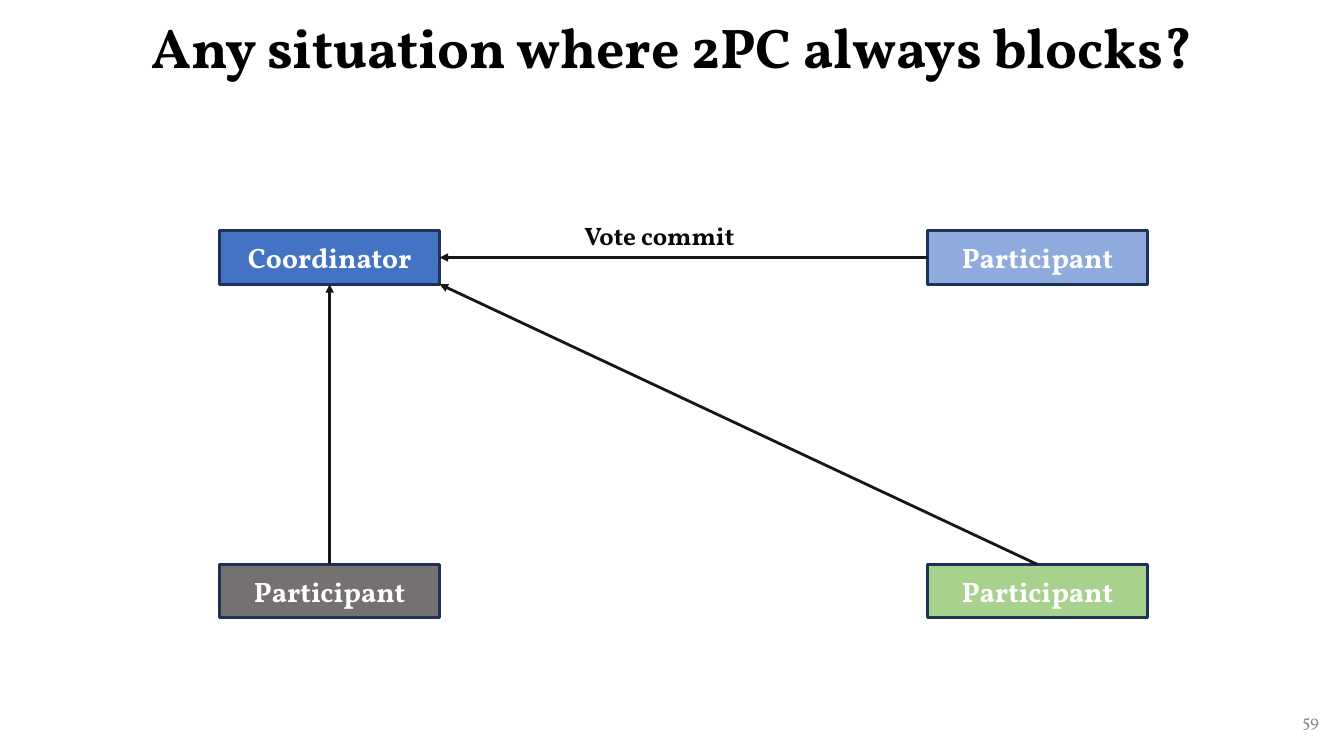
"""Build a slide on a two-phase commit that blocks."""
from lxml import etree
from pptx import Presentation
from pptx.dml.color import RGBColor
from pptx.enum.shapes import MSO_CONNECTOR, MSO_SHAPE
from pptx.enum.text import MSO_ANCHOR, MSO_AUTO_SIZE, PP_ALIGN
from pptx.oxml.ns import qn
from pptx.util import Inches, Pt

RECT = MSO_SHAPE.RECTANGLE
LINE = MSO_CONNECTOR.STRAIGHT
CENTER, RIGHT = PP_ALIGN.CENTER, PP_ALIGN.RIGHT
TOP, MIDDLE = MSO_ANCHOR.TOP, MSO_ANCHOR.MIDDLE
FIXED = MSO_AUTO_SIZE.NONE
UP, LEFT, DOWN, EAST = 0, 1, 2, 3

FONT = "Vollkorn"
COLORS = {
    "title": "000000", "label": "07080B", "page": "8C8C8C", "white": "FFFFFF",
    "edge": "1E3256", "arrow": "181717", "blue": "4472C4", "pale": "8FAADC",
    "gray": "767171", "green": "A9D18E",
}
TITLE = "Any situation where 2PC always blocks?"
NODES = [
    ("Coordinator", "blue", 0, 0),
    ("Participant", "pale", 1, 0),
    ("Participant", "gray", 0, 1),
    ("Participant", "green", 1, 1),
]
LINKS = [(2, UP, DOWN), (3, UP, None), (1, LEFT, EAST)]
NOTES = [
    ("59", (10.18, 6.95, 3, 0.4), 12, "page", False, RIGHT, MIDDLE),
    ("Vote commit", (5.37, 2.14, 2.34, 0.4), 18, "label", True, CENTER, TOP),
]
COLS, ROWS = (2.18, 9.2), (2.29, 5.6)
WIDE, HIGH = 2.18, 0.53


def paint(name):
    return RGBColor.from_string(COLORS[name])


def write(shape, text, size, color, bold=True, align=CENTER, anchor=MIDDLE):
    frame = shape.text_frame
    frame.auto_size = FIXED
    frame.word_wrap = True
    frame.vertical_anchor = anchor
    para = frame.paragraphs[0]
    para.text = text
    para.alignment = align
    font = para.font
    font.name, font.size, font.bold = FONT, Pt(size), bold
    font.color.rgb = paint(color)
    return para


def add_node(slide, text, fill, col, row):
    box = slide.shapes.add_shape(
        RECT, Inches(COLS[col]), Inches(ROWS[row]), Inches(WIDE), Inches(HIGH))
    box.shadow.inherit = False
    box.fill.solid()
    box.fill.fore_color.rgb = paint(fill)
    box.line.color.rgb = paint("edge")
    box.line.width = Pt(2)
    write(box, text, 20, "white")
    return box


def add_link(slide, start, side, hub, port):
    corner = hub.left + hub.width, hub.top + hub.height
    link = slide.shapes.add_connector(LINE, start.left, start.top, *corner)
    link.begin_connect(start, side)
    if port is not None:
        link.end_connect(hub, port)
    link.line.color.rgb = paint("arrow")
    link.line.width = Pt(2)
    etree.SubElement(link.line._get_or_add_ln(), qn("a:tailEnd"), type="triangle")
    etree.SubElement(link._element.spPr, qn("a:effectLst"))


def main():
    deck = Presentation()
    deck.slide_width, deck.slide_height = Inches(13.33), Inches(7.5)
    slide = deck.slides.add_slide(deck.slide_layouts[5])

    title = slide.shapes.title
    title.left, title.top = Inches(0.92), Inches(0)
    title.width, title.height = Inches(11.5), Inches(0.99)
    write(title, TITLE, 40, "title").line_spacing = 0.9

    boxes = [add_node(slide, *node) for node in NODES]
    for index, side, port in LINKS:
        add_link(slide, boxes[index], side, boxes[0], port)
    for text, place, *style in NOTES:
        note = slide.shapes.add_textbox(*map(Inches, place))
        write(note, text, *style)
    deck.save("out.pptx")


if __name__ == "__main__":
    main()
